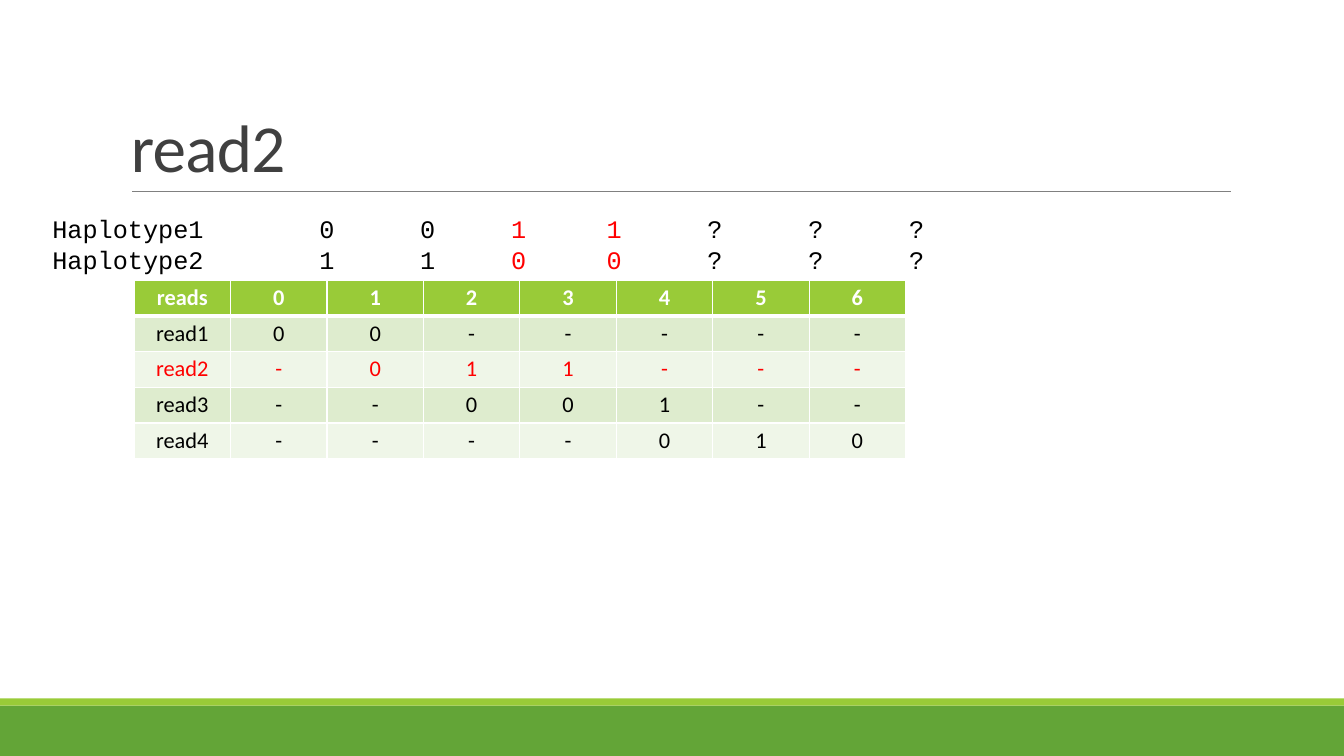
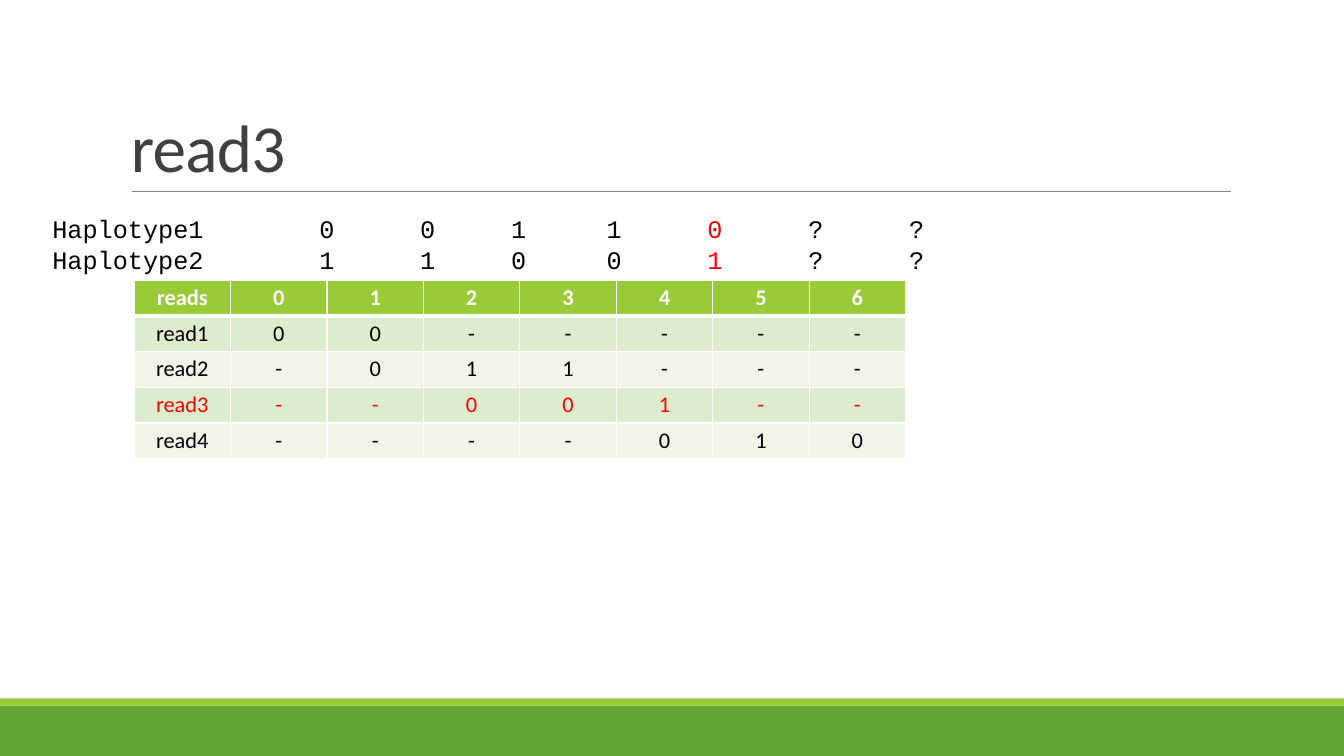
from lxml import etree
from pptx import Presentation
from pptx import util as u
from pptx.dml.color import RGBColor
from pptx.enum import shapes, text
from pptx.oxml.ns import qn

COLORS = {
    "band": "63A537", "accent": "99CB38", "rule": "808080", "title": "404040",
    "ink": "000000", "mark": "FF0000", "white": "FFFFFF",
    "odd": "DEECCE", "even": "EFF6E8",
}
TITLE = {"name": "Calibri", "size": u.Pt(48)}
CODE = {"name": "Courier New", "size": u.Pt(18)}
HEAD = {"name": "Calibri", "size": u.Pt(16), "bold": True}
BODY = {**HEAD, "bold": False}
CELL = {
    "margin_left": u.Cm(0.23), "margin_right": u.Cm(0.23),
    "margin_top": u.Cm(0.1), "margin_bottom": u.Cm(0.1),
}
BANDS = [("band", 17.78, 1.27), ("accent", 17.6, 0.18)]
TAB_STOPS = [6.73, 9.27, 11.56, 13.97, 16.51, 19.05, 21.59]
PAGE_WIDTH = 33.87

READS = [
    ["reads", *"0123456"],
    ["read1", *"00-----"],
    ["read2", *"-011---"],
    ["read3", *"--001--"],
    ["read4", *"----010"],
]
STEPS = [
    {"read": "read2", "haplotypes": ["0011???", "1100???"], "new": [2, 3]},
    {"read": "read3", "haplotypes": ["00110??", "11001??"], "new": [4]},
]


def add_span(para, content, style, color):
    span = para.add_run()
    span.text = content
    for name, value in style.items():
        setattr(span.font, name, value)
    span.font.color.rgb = RGBColor.from_string(COLORS[color])
    return span


def add_border(cell, side, points):
    line = etree.SubElement(cell._tc.get_or_add_tcPr(), qn(f"a:ln{side}"), w=str(u.Pt(points)))
    fill = etree.SubElement(line, qn("a:solidFill"))
    etree.SubElement(fill, qn("a:srgbClr"), val=COLORS["white"])


deck = Presentation()
deck.slide_width, deck.slide_height = u.Cm(PAGE_WIDTH), u.Cm(19.05)

for step in STEPS:
    page = deck.slides.add_slide(deck.slide_layouts[6])

    for color, top, height in BANDS:
        band = page.shapes.add_shape(
            shapes.MSO_SHAPE.RECTANGLE, 0, u.Cm(top), u.Cm(PAGE_WIDTH), u.Cm(height))
        band.shadow.inherit = False
        band.fill.solid()
        band.fill.fore_color.rgb = RGBColor.from_string(COLORS[color])
        band.line.fill.background()

    rule = page.shapes.add_connector(
        shapes.MSO_CONNECTOR.STRAIGHT, u.Cm(3.33), u.Cm(4.83), u.Cm(31.01), u.Cm(4.83))
    rule.line.width = u.Pt(0.5)
    rule.line.color.rgb = RGBColor.from_string(COLORS["rule"])
    etree.SubElement(rule._element.spPr, qn("a:effectLst"))

    title_box = page.shapes.add_textbox(u.Cm(3.05), u.Cm(0.79), u.Cm(27.94), u.Cm(4.04))
    title_box.text_frame.word_wrap = True
    title_box.text_frame.vertical_anchor = text.MSO_ANCHOR.BOTTOM
    para = title_box.text_frame.paragraphs[0]
    para.line_spacing = 0.85
    span = add_span(para, step["read"], TITLE, "title")
    span.font._element.set("spc", "-50")

    haplotype_box = page.shapes.add_textbox(u.Cm(1.07), u.Cm(5.26), u.Cm(28.22), u.Cm(1.8))
    frame = haplotype_box.text_frame
    frame.word_wrap = True
    frame.auto_size = text.MSO_AUTO_SIZE.SHAPE_TO_FIT_TEXT
    for number, alleles in enumerate(step["haplotypes"], 1):
        para = frame.paragraphs[0] if number == 1 else frame.add_paragraph()
        tabs = etree.SubElement(para._p.get_or_add_pPr(), qn("a:tabLst"))
        for stop in TAB_STOPS:
            etree.SubElement(tabs, qn("a:tab"), pos=str(u.Cm(stop)), algn="l")
        add_span(para, f"Haplotype{number}", CODE, "ink")
        for site, allele in enumerate(alleles):
            add_span(para, f"\t{allele}", CODE, "mark" if site in step["new"] else "ink")

    table = page.shapes.add_table(
        len(READS), len(READS[0]), u.Cm(3.38), u.Cm(7.06), u.Cm(19.44), u.Cm(4.5)).table
    for row, values in enumerate(READS):
        if row == 0:
            style, ink, fill = HEAD, "white", "accent"
        else:
            style = BODY
            ink = "mark" if values[0] == step["read"] else "ink"
            fill = "odd" if row % 2 else "even"
        for column, value in enumerate(values):
            cell = table.cell(row, column)
            for name, margin in CELL.items():
                setattr(cell, name, margin)
            for side in "LRTB":
                add_border(cell, side, 3 if (row, side) in [(0, "B"), (1, "T")] else 1)
            cell.fill.solid()
            cell.fill.fore_color.rgb = RGBColor.from_string(COLORS[fill])
            para = cell.text_frame.paragraphs[0]
            para.alignment = text.PP_ALIGN.CENTER
            add_span(para, value, style, ink)

deck.save("out.pptx")
